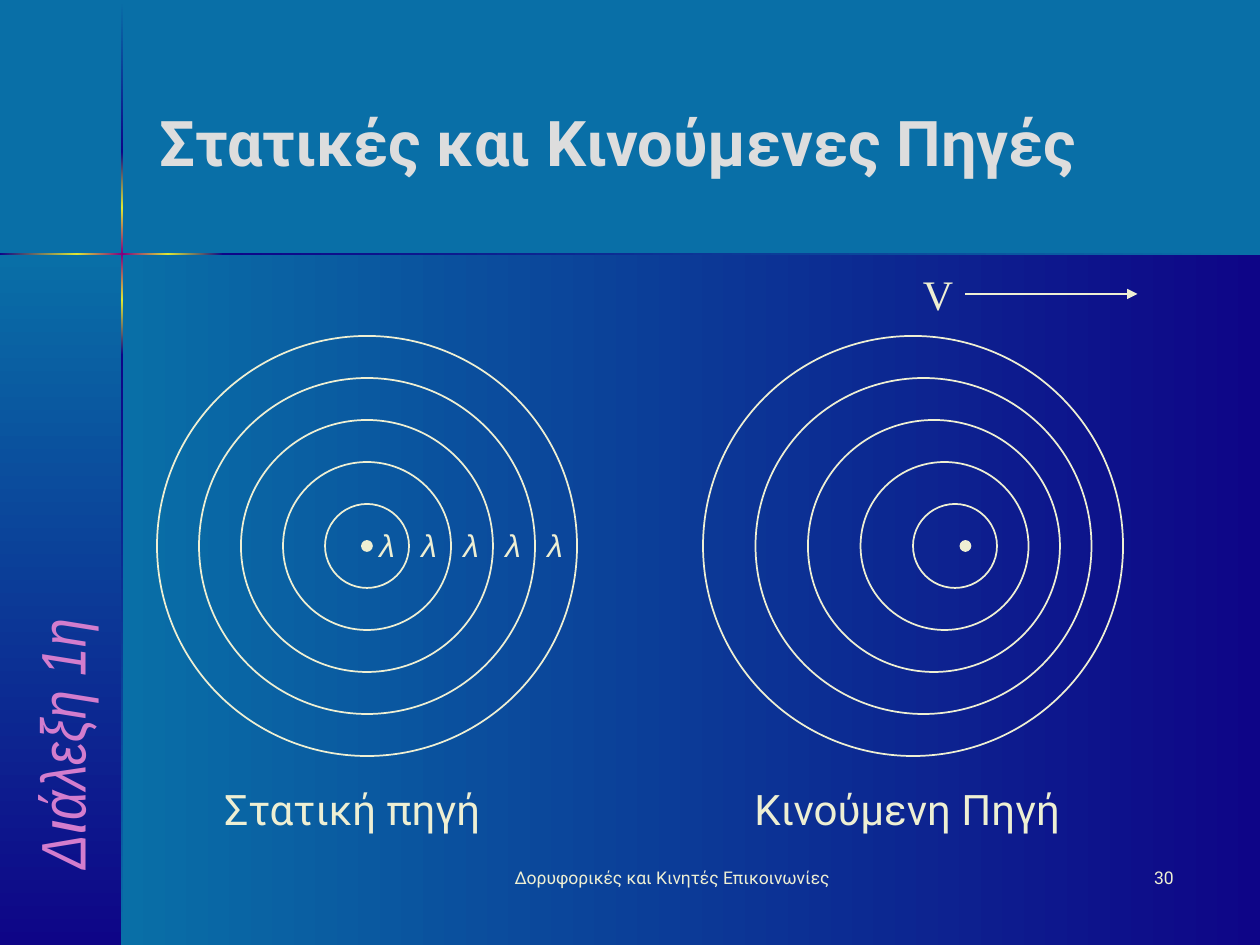
from copy import deepcopy

from lxml.etree import SubElement
from pptx import Presentation
from pptx.dml.color import RGBColor
from pptx.enum.shapes import MSO_CONNECTOR, MSO_SHAPE
from pptx.enum.text import MSO_ANCHOR, PP_ALIGN
from pptx.oxml.ns import qn
from pptx.util import Pt

SCALE = 914400 / 126  # EMU in one px
WIDTH, HEIGHT = 1260, 945

TEAL = RGBColor(0x09, 0x6F, 0xA7)
NAVY = RGBColor(0x0E, 0x05, 0x87)
YELLOW = RGBColor(0xDE, 0xE6, 0x34)
PURPLE = RGBColor(0x80, 0x00, 0x80)
CREAM = RGBColor(0xEE, 0xEF, 0xD3)
SILVER = RGBColor(0xDD, 0xDD, 0xDD)
PINK = RGBColor(0xD3, 0x7D, 0xCD)

LEFTWARD, DOWNWARD = 180, 270
WAVELENGTH = 42
WAVES = 5

TITLE = dict(name="Roboto", size=Pt(36), bold=True)
SIDE = dict(name="Arial Narrow", size=Pt(36), italic=True)
CAPTION = dict(name="Roboto", size=Pt(24))
SYMBOL = dict(name="Times New Roman", size=Pt(24))
LAMBDA = dict(name="Arial", size=Pt(18), italic=True)
FOOTER = dict(name="Roboto", size=Pt(10))


def emu(*lengths):
    return [round(n * SCALE) for n in lengths]


def add_text(slide, box, text, style, color=CREAM, align=PP_ALIGN.LEFT,
             anchor=MSO_ANCHOR.TOP, wrap=True):
    sp = slide.shapes.add_textbox(*emu(*box))
    tf = sp.text_frame
    tf.word_wrap = wrap
    tf.vertical_anchor = anchor
    p = tf.paragraphs[0]
    p.alignment = align
    r = p.add_run()
    r.text = text
    for key, value in style.items():
        setattr(r.font, key, value)
    r.font.color.rgb = color
    return sp


def add_gradient(slide, box, colors, direction):
    """Add a borderless rectangle with evenly spaced gradient stops."""
    sp = slide.shapes.add_shape(MSO_SHAPE.RECTANGLE, *emu(*box))
    sp.shadow.inherit = False
    sp.line.fill.background()
    sp.fill.gradient()
    sp.fill.gradient_angle = direction
    stops = sp._element.spPr.find(".//" + qn("a:gsLst"))
    for _ in colors[2:]:
        stops.append(deepcopy(stops[-1]))
    for i, (stop, color) in enumerate(zip(sp.fill.gradient_stops, colors)):
        stop.position = i / (len(colors) - 1)
        stop.color.rgb = color


def add_circle(slide, cx, cy, radius, filled=False):
    box = emu(cx - radius, cy - radius, 2 * radius, 2 * radius)
    sp = slide.shapes.add_shape(MSO_SHAPE.OVAL, *box)
    sp.shadow.inherit = False
    if filled:
        sp.fill.solid()
        sp.fill.fore_color.rgb = CREAM
    else:
        sp.fill.background()
    sp.line.color.rgb = CREAM
    sp.line.width = Pt(1)


def add_backdrop(slide, box):
    """Draw the two panels and the glowing lines that cross at their corner."""
    x, y, w, h = box
    cross_x, cross_y, thick = x + 122, y + 254, 2
    bottom = y + h - cross_y
    add_gradient(slide, (cross_x, cross_y, w - 122, bottom), (NAVY, TEAL), LEFTWARD)
    add_gradient(slide, (x, cross_y, 122, bottom), (TEAL, NAVY), DOWNWARD)

    glow = (YELLOW, PURPLE, YELLOW)
    vertical = [(1, 152, (TEAL, NAVY)), (152, 208, (NAVY, YELLOW)),
                (208, 300, glow), (300, 355, (YELLOW, NAVY)),
                (355, h, (NAVY, TEAL))]
    horizontal = [(0, 77, (YELLOW, NAVY)), (77, 168, glow),
                  (168, 223, (NAVY, YELLOW)), (223, w, (TEAL, NAVY))]
    for start, end, colors in vertical:
        add_gradient(slide, (cross_x - 1, y + start, thick, end - start), colors, DOWNWARD)
    for start, end, colors in horizontal:
        add_gradient(slide, (x + start, cross_y - 1, end - start, thick), colors, LEFTWARD)


def add_waves(slide, box, speed=0):
    """Draw wavefronts in a square box; speed is a share of the wave speed.

    Returns the position of the source.
    """
    x, y, w, h = box
    drift = speed * WAVELENGTH
    cx, cy = x + w / 2 + WAVES * drift, y + h / 2
    for n in range(1, WAVES + 1):
        add_circle(slide, cx - n * drift, cy, n * WAVELENGTH)
    add_circle(slide, cx, cy, 5, filled=True)
    return cx, cy


def add_static_source(slide, box):
    x, y, w, h = box
    cx, cy = add_waves(slide, (x, y, w, w))
    for n in range(WAVES):
        add_text(slide, (cx + n * WAVELENGTH, cy - 26, WAVELENGTH, 50), "λ", LAMBDA)
    add_text(slide, (x + 55, y + h - 63, 290, 63), "Στατική πηγή", CAPTION, wrap=False)


def add_moving_source(slide, box):
    x, y, w, h = box
    cx, _ = add_waves(slide, (x, y, w, w), speed=0.25)
    arrow = slide.shapes.add_connector(
        MSO_CONNECTOR.STRAIGHT, *emu(cx, y - 42, cx + 172, y - 42))
    arrow.line.color.rgb = CREAM
    arrow.line.width = Pt(1)
    SubElement(arrow.line._get_or_add_ln(), qn("a:tailEnd"), type="triangle")
    SubElement(arrow._element.spPr, qn("a:effectLst"))
    add_text(slide, (cx - 55, y - 74, 55, 63), "V", SYMBOL, wrap=False)
    add_text(slide, (x + 39, y + h - 63, 350, 63), "Κινούμενη Πηγή", CAPTION, wrap=False)


def add_labels(slide, box):
    """Place the title, the side label and the footer."""
    x, y, _, h = box
    add_text(slide, (x + 147, y + 42, 1040, 198), "Στατικές και Κινούμενες Πηγές",
             TITLE, SILVER, anchor=MSO_ANCHOR.MIDDLE)
    side = add_text(slide, (x - 179, y + 598, 483, 84), "Διάλεξη 1η",
                    SIDE, PINK, anchor=MSO_ANCHOR.BOTTOM)
    side.rotation = 270
    foot = y + h - 84
    add_text(slide, (x + 472, foot, 400, 63), "Δορυφορικές και Κινητές Επικοινωνίες",
             FOOTER, align=PP_ALIGN.CENTER)
    add_text(slide, (x + 924, foot, 262, 63), "30", FOOTER, align=PP_ALIGN.RIGHT)


def main():
    prs = Presentation()
    prs.slide_width, prs.slide_height = emu(WIDTH, HEIGHT)
    s = prs.slides.add_slide(prs.slide_layouts[6])
    s.background.fill.solid()
    s.background.fill.fore_color.rgb = TEAL
    page = (0, 0, WIDTH, HEIGHT)
    diameter = 2 * WAVES * WAVELENGTH
    add_backdrop(s, page)
    add_labels(s, page)
    add_static_source(s, (157, 336, diameter, 504))
    add_moving_source(s, (703, 336, diameter, 504))
    prs.save("out.pptx")


if __name__ == "__main__":
    main()
